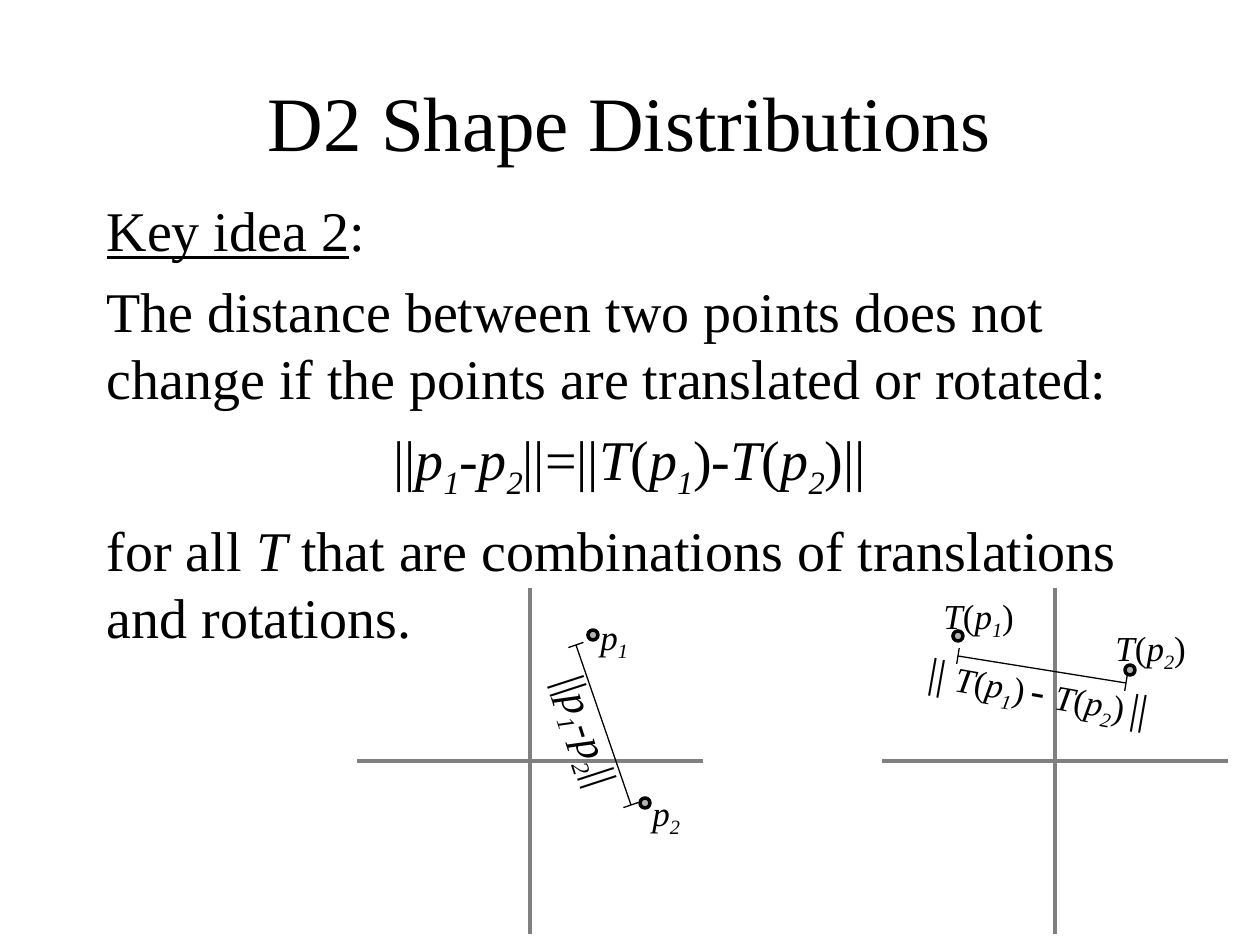
from itertools import groupby
from math import hypot
from lxml.etree import SubElement as Sub
from pptx import Presentation
from pptx.dml.color import RGBColor as Rgb
from pptx.enum.shapes import MSO_CONNECTOR as Conn, MSO_SHAPE as Kind
from pptx.enum.text import MSO_ANCHOR as Anchor, MSO_AUTO_SIZE as Fit, PP_ALIGN as Align
from pptx.oxml.ns import qn
from pptx.util import Emu, Pt

SCALE = 914400 / 126
FONT = "Times New Roman"
HUES = {"ink": "000000", "axis": "808080", "dot": "B2B2B2"}


def px(num):
    """Turn px into EMU."""
    return Emu(round(num * SCALE))


def hue(name):
    """Look up a colour."""
    return Rgb.from_string(HUES[name])


def style(char):
    """Name the style of one sign: s for subscript, i for italic."""
    return "s" if char.isdigit() else "i" if char.isalpha() else ""


def math(text, size):
    """Split a formula into (text, style, size) parts."""
    return [("".join(part), key, size) for key, part in groupby(text, style)]


def write(par, parts, align=Align.LEFT, gap=0):
    """Fill a paragraph with styled runs."""
    par.alignment, par.space_before = align, Pt(gap)
    for text, kind, size in parts:
        run = par.add_run()
        run.text = text
        font = run.font
        font.name, font.size = FONT, Pt(size)
        font.color.rgb = hue("ink")
        font.italic = kind in ("i", "s")
        font.underline = kind == "u"
        if kind == "s":
            font._element.set("baseline", "-25000")


def place(shape, box):
    """Move a shape to a px box."""
    shape.left, shape.top, shape.width, shape.height = map(px, box)


def label(slide, box, parts, align=Align.LEFT, turn=0):
    """Add a text box."""
    shape = slide.shapes.add_textbox(*map(px, box))
    shape.rotation = turn
    frame = shape.text_frame
    frame.word_wrap = True
    write(frame.paragraphs[0], parts, align)


def line(slide, ends, name, width):
    """Add a straight line."""
    link = slide.shapes.add_connector(Conn.STRAIGHT, *map(px, ends))
    link.line.color.rgb = hue(name)
    link.line.width = Pt(width)
    Sub(link._element.spPr, qn("a:effectLst"))


def dot(slide, left, top):
    """Add a point marker."""
    shape = slide.shapes.add_shape(Kind.OVAL, *map(px, (left, top, 10, 10)))
    shape.shadow.inherit = False
    shape.fill.solid()
    shape.fill.fore_color.rgb = hue("dot")
    shape.line.color.rgb = hue("ink")
    shape.line.width = Pt(2)


def span(slide, ax, ay, bx, by):
    """Add a measuring line with a square tick at each end."""
    line(slide, (ax, ay, bx, by), "ink", 0.75)
    size = hypot(bx - ax, by - ay) / 8
    dx, dy = (ay - by) / size, (bx - ax) / size
    for x, y in ((ax, ay), (bx, by)):
        line(slide, (x - dx, y - dy, x + dx, y + dy), "ink", 0.75)


def graph(slide, box, points, ends, note):
    """Draw axes, two named points and the distance between them."""
    left, top, wide, high = box
    midx, midy = left + wide / 2, top + high / 2
    line(slide, (midx, top, midx, top + high), "axis", 2.25)
    line(slide, (left, midy, left + wide, midy), "axis", 2.25)
    for (x, y), (tx, ty, tw), name in points:
        dot(slide, left + x, top + y)
        label(slide, (left + tx, top + ty, tw, 60), math(name, 20))
    ax, ay, bx, by = ends
    span(slide, left + ax, top + ay, left + bx, top + by)
    (x, y, wide), parts, turn = note
    label(slide, (left + x, top + y, wide, 71), parts, Align.CENTER, turn)


def head(slide, box):
    """Fill the title."""
    shape = slide.shapes.title
    place(shape, box)
    frame = shape.text_frame
    frame.auto_size, frame.vertical_anchor = Fit.NONE, Anchor.MIDDLE
    write(frame.paragraphs[0], [("D2 Shape Distributions", "", 44)], Align.CENTER)


def body(slide, box):
    """Fill the body text."""
    shape = slide.placeholders[1]
    place(shape, box)
    frame = shape.text_frame
    frame.auto_size, frame.vertical_anchor = Fit.NONE, Anchor.TOP
    rows = [
        ([("Key idea 2", "u", 32), (":", "", 32)], Align.LEFT),
        ([("The distance between two points does not change "
           "if the points are translated or rotated:", "", 32)], Align.LEFT),
        (math("||p1-p2||=||T(p1)-T(p2)||", 32), Align.CENTER),
        ([("for all ", "", 32), ("T", "i", 32),
          (" that are combinations of translations and rotations.", "", 32)], Align.LEFT),
    ]
    for num, (parts, align) in enumerate(rows):
        par = frame.add_paragraph() if num else frame.paragraphs[0]
        props = par._p.get_or_add_pPr()
        props.set("marL", "0")
        props.set("indent", "0")
        Sub(props, qn("a:buNone"))
        write(par, parts, align, 8 if num else 0)


def main():
    """Build the slide."""
    deck = Presentation()
    deck.slide_width, deck.slide_height = px(1260), px(945)
    slide = deck.slides.add_slide(deck.slide_layouts[1])
    head(slide, (94, 42, 1071, 157))
    body(slide, (94, 189, 1071, 651))
    graph(slide, (357, 588, 346, 346),
          [((283, 210), (283, 197, 63), "p2"), ((231, 42), (231, 21, 63), "p1")],
          (219, 57, 274, 217),
          ((117, 108, 221), math("||p1-p2||", 24), 72))
    thin = (" ", "s", 24)
    parts = [("|| ", "", 24), *math("T(p1)", 20), thin, ("- ", "", 24),
             *math("T(p2)", 20), thin, ("||", "", 24)]
    graph(slide, (882, 588, 346, 346),
          [((243, 77), (221, 32, 105), "T(p2)"), ((71, 43), (49, 0, 105), "T(p1)")],
          (76, 68, 244, 95),
          ((14, 70, 284), parts, 10))
    deck.save("out.pptx")


if __name__ == "__main__":
    main()
